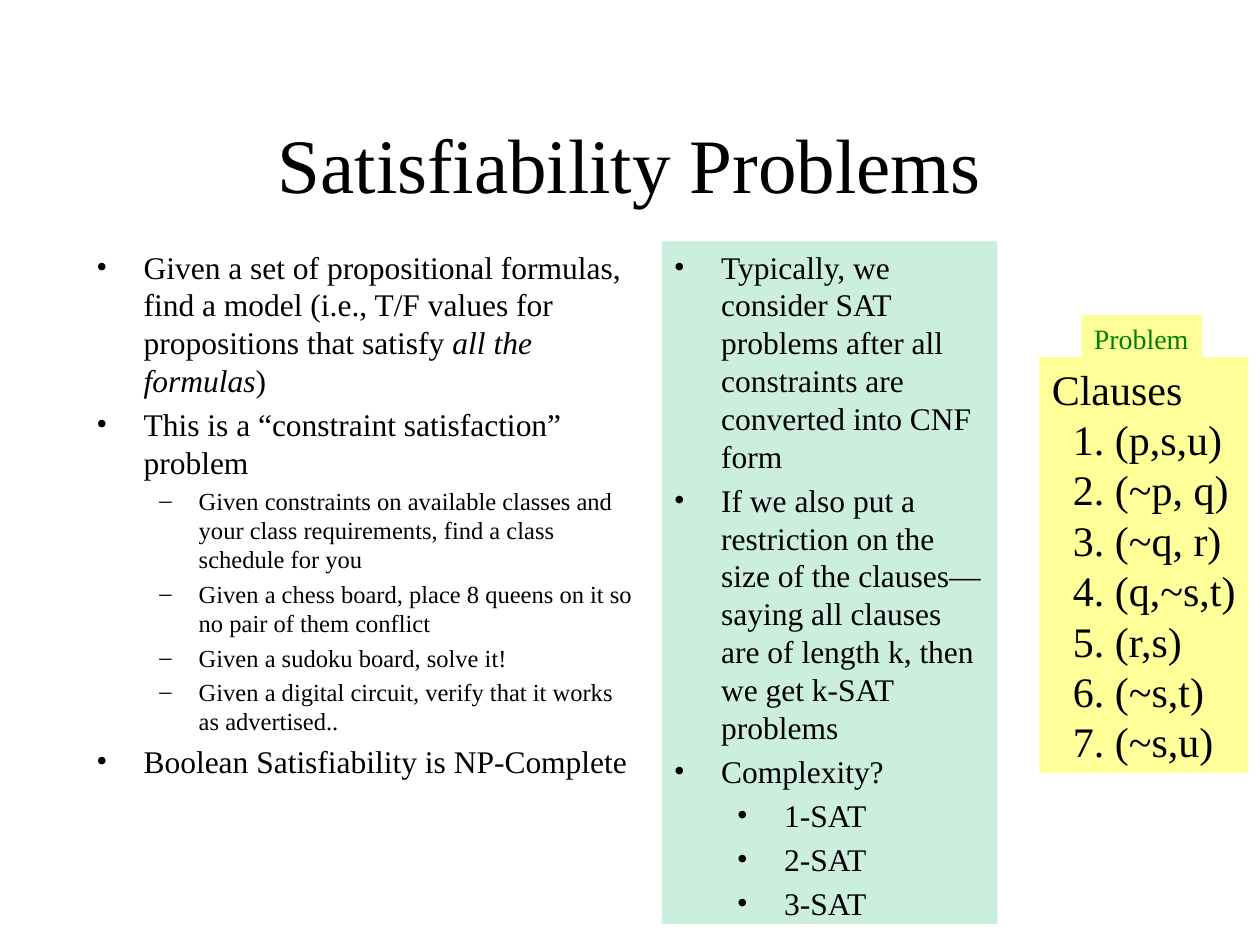
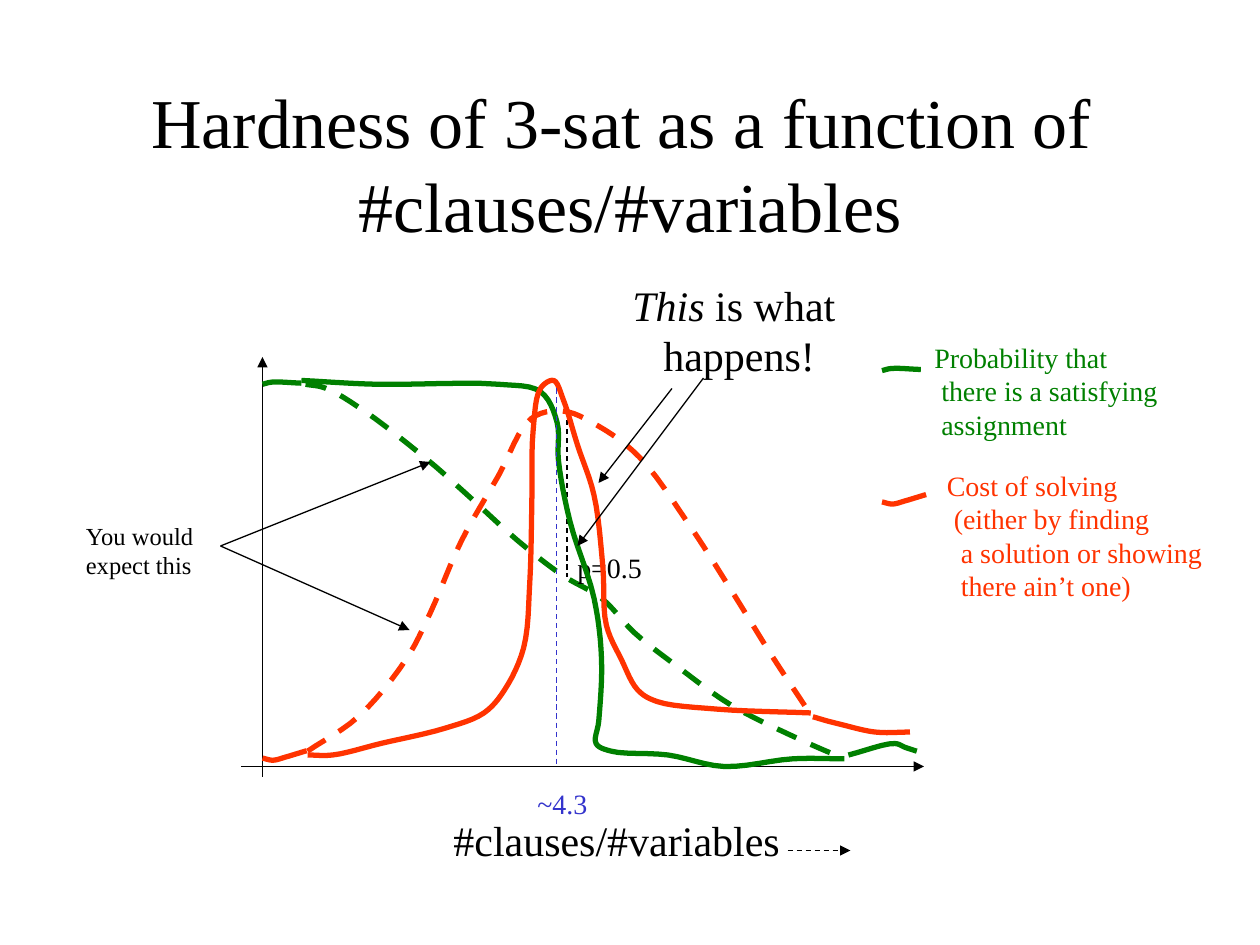
from dataclasses import dataclass
from math import dist

from lxml.etree import SubElement
from pptx import Presentation
from pptx.dml.color import RGBColor
from pptx.enum.dml import MSO_LINE
from pptx.enum.shapes import MSO_CONNECTOR, MSO_SHAPE
from pptx.enum.text import MSO_ANCHOR, MSO_AUTO_SIZE, PP_ALIGN
from pptx.oxml.ns import qn
from pptx.util import Inches, Pt

COLUMNS = 120  # the 10 x 7.5 inch slide is a grid of 120 x 90 square cells
BLACK, GREEN, RED, BLUE = "000000", "008000", "FF3300", "3333CC"
YELLOW, MINT = "FFFF99", "CCEEDF"


def rgb(value):
    return RGBColor.from_string(value)


@dataclass
class Para:
    """One paragraph; runs is a string or a list of (text, italic) pairs."""
    runs: object
    size: float
    bullet: str = ""
    level: int = 0
    left: float = 0
    hang: float = 0

    def pieces(self):
        return [(self.runs, False)] if isinstance(self.runs, str) else self.runs


def point(runs):
    return Para(runs, 18, "•", 0, 27, 27)


def dash_point(runs):
    return Para(runs, 14, "–", 1, 58.5, 22.5)


def sub_point(runs):
    return Para(runs, 18, "•", 1, 63, 27)


def lines(size, *texts, spaces=()):
    """Plain paragraphs, each indented by a number of space widths."""
    space = size / 4
    return [Para(text, size, left=n * space)
            for text, n in zip(texts, spaces or [0] * len(texts))]


def smooth(knots, steps=6):
    """Points of a centripetal Catmull-Rom spline through all the knots."""
    def mirror(end, inner):
        return tuple(2 * e - i for e, i in zip(end, inner))

    def mix(a, b, ta, tb, t):
        return tuple(((tb - t) * u + (t - ta) * v) / (tb - ta) for u, v in zip(a, b))

    pts = [mirror(knots[0], knots[1]), *knots, mirror(knots[-1], knots[-2])]
    result = [knots[0]]
    for a, b, c, d in zip(pts, pts[1:], pts[2:], pts[3:]):
        t0 = 0
        t1 = t0 + dist(a, b) ** 0.5
        t2 = t1 + dist(b, c) ** 0.5
        t3 = t2 + dist(c, d) ** 0.5
        for step in range(1, steps + 1):
            t = t1 + (t2 - t1) * step / steps
            ab, bc, cd = mix(a, b, t0, t1, t), mix(b, c, t1, t2, t), mix(c, d, t2, t3, t)
            abc, bcd = mix(ab, bc, t0, t2, t), mix(bc, cd, t1, t3, t)
            result.append(mix(abc, bcd, t1, t2, t))
    return result


class Deck:
    font = "Times New Roman"
    thin, thick = 0.75, 3

    def __init__(self):
        self.prs = Presentation()
        self.prs.slide_width, self.prs.slide_height = Inches(10), Inches(7.5)
        self.cell = self.prs.slide_width / COLUMNS
        self.s = None

    def grid(self, *cells):
        return [round(c * self.cell) for c in cells]

    def slide(self, title, size):
        self.s = self.prs.slides.add_slide(self.prs.slide_layouts[6])
        self.text((9, 8, 102, 15), [Para(title, size)], wrap=True,
                  align=PP_ALIGN.CENTER, anchor=MSO_ANCHOR.MIDDLE)

    def text(self, box, paras, color=BLACK, fill=None, wrap=False,
             align=PP_ALIGN.LEFT, anchor=MSO_ANCHOR.TOP):
        shapes = self.s.shapes
        if fill:
            sp = shapes.add_shape(MSO_SHAPE.RECTANGLE, *self.grid(*box))
            sp.shadow.inherit = False
            sp.fill.solid()
            sp.fill.fore_color.rgb = rgb(fill)
            sp.line.fill.background()
        else:
            sp = shapes.add_textbox(*self.grid(*box))
        tf = sp.text_frame
        tf.word_wrap = wrap
        tf.auto_size = MSO_AUTO_SIZE.NONE if wrap else MSO_AUTO_SIZE.SHAPE_TO_FIT_TEXT
        tf.vertical_anchor = anchor
        for i, para in enumerate(paras):
            p = tf.add_paragraph() if i else tf.paragraphs[0]
            p.alignment = align
            self.indent(p, para, first=i == 0)
            for text, italic in para.pieces():
                self.run(p, text, para.size, color, italic)

    def indent(self, p, para, first):
        p.level = para.level
        pPr = p._p.get_or_add_pPr()
        pPr.set("marL", str(Pt(para.left)))
        pPr.set("indent", str(-Pt(para.hang)))
        if para.bullet:
            SubElement(pPr, qn("a:buFont")).set("typeface", self.font)
            SubElement(pPr, qn("a:buChar")).set("char", para.bullet)
            if not first:
                p.space_before = Pt(para.size * 0.2)

    def run(self, p, text, size, color, italic):
        for i, part in enumerate(text.split("\n")):
            if i:
                p.add_line_break()
            r = p.add_run()
            r.text = part
            r.font.name, r.font.size, r.font.italic = self.font, Pt(size), italic
            r.font.color.rgb = rgb(color)

    def stroke(self, sp, color, width, dashed):
        sp.line.color.rgb = rgb(color)
        sp.line.width = Pt(width)
        if dashed:
            sp.line.dash_style = MSO_LINE.DASH

    def line(self, start, end, color=BLACK, dashed=False, arrow=True):
        sp = self.s.shapes.add_connector(MSO_CONNECTOR.STRAIGHT,
                                         *self.grid(*start, *end))
        self.stroke(sp, color, self.thin, dashed)
        if arrow:
            SubElement(sp.line._get_or_add_ln(), qn("a:tailEnd")).set("type", "triangle")
        SubElement(sp._element.spPr, qn("a:effectLst"))

    def curve(self, knots, color, dashed=False):
        """Smooth open line through knots given in grid cells."""
        first, *rest = [self.grid(*xy) for xy in smooth(knots)]
        fb = self.s.shapes.build_freeform(*first, scale=1.0)
        fb.add_line_segments(rest, close=False)
        sp = fb.convert_to_shape()
        sp.shadow.inherit = False
        sp.fill.background()
        self.stroke(sp, color, self.thick, dashed)


# The plot: x is the ratio #clauses/#variables, y is a level in percent.
ORIGIN_X, ORIGIN_Y = 25, 73
THRESHOLD, THRESHOLD_X = 4.3, 53
FULL_HEIGHT = 36.4


def plotted(knots):
    """Turn (ratio, percent) pairs into grid cells."""
    per_ratio = (THRESHOLD_X - ORIGIN_X) / THRESHOLD
    return [(ORIGIN_X + ratio * per_ratio, ORIGIN_Y - percent / 100 * FULL_HEIGHT)
            for ratio, percent in knots]


def moved(knots, x, y):
    return [(x + dx, y + dy) for dx, dy in knots]


# Each measure falls or rises gently as expected, but abruptly in fact.
EXPECTED_PROBABILITY = [
    (0.63, 100), (0.92, 99), (1.49, 93), (2.43, 80), (3, 71), (3.74, 59), (4.39, 50),
    (4.96, 44), (5.44, 35), (6.08, 26), (6.86, 16), (7.87, 7), (8.51, 2)]
EXPECTED_COST = [
    (0.66, 4), (1.4, 13), (2.1, 28), (2.45, 40), (2.91, 59), (3.45, 76), (3.93, 91),
    (4.39, 93), (4.92, 89), (5.51, 81), (6.25, 63), (6.93, 44), (7.45, 29), (8.04, 13)]
ACTUAL_PROBABILITY = [
    (0.57, 101), (1.66, 100), (3.45, 100), (4.07, 98), (4.31, 90), (4.33, 80),
    (4.5, 64), (4.85, 44), (4.96, 28), (4.92, 12), (4.88, 6), (5.1, 4), (5.93, 3),
    (6.75, 0), (7.76, 2), (8.51, 2)]
ACTUAL_COST = [
    (0.66, 3), (1.03, 3), (1.73, 6), (2.67, 10), (3.24, 14), (3.54, 20), (3.82, 31),
    (3.91, 48), (3.94, 68), (3.96, 88), (4.07, 99), (4.26, 101), (4.4, 96), (4.61, 84),
    (4.85, 71), (4.98, 52), (5.03, 37), (5.25, 28), (5.49, 20), (5.77, 17),
    (6.65, 15), (8.02, 14)]

# Where the expected and actual curves meet again they share one tail.
PROBABILITY_TAIL = [(8.57, 3), (9.25, 6), (9.4, 5), (9.57, 4)]
COST_TAIL = [(8.05, 13), (8.24, 12), (8.46, 11), (8.96, 9), (9.47, 9)]

# Short strokes, in cells, that start a curve and also mark it in the legend.
PROBABILITY_STROKE = [(0, 0), (0.9, -0.2), (3.7, -0.1)]
COST_STROKE = [(0, 0), (1, 0.2), (2.2, -0.1), (4.2, -0.7)]
LEGEND_X = 84


def satisfiability(d):
    d.slide("Satisfiability Problems", 44)
    d.text((8, 23, 54, 54), [
        point([("Given a set of propositional formulas, find a model (i.e., T/F "
                "values for propositions that satisfy ", False),
               ("all the formulas", True), (")", False)]),
        point("This is a “constraint satisfaction” problem"),
        dash_point("Given constraints on available classes and your class "
                   "requirements, find a class schedule for you"),
        dash_point("Given a chess board, place 8 queens on it so no pair of them conflict"),
        dash_point("Given a sudoku board, solve it!"),
        dash_point("Given a digital circuit, verify that it works as advertised.."),
        point("Boolean Satisfiability is NP-Complete")], wrap=True)
    clauses = ["(p,s,u)", "(~p, q)", "(~q, r)", "(q,~s,t)", "(r,s)", "(~s,t)", "(~s,u)"]
    numbered = [f"{n}. {clause}" for n, clause in enumerate(clauses, 1)]
    d.text((99, 34, 19.9, 39.6),
           lines(24, "Clauses", *numbered, spaces=[0] + [2] * len(numbered)),
           fill=YELLOW)
    d.text((63, 23, 32, 65), [
        point("Typically, we consider SAT problems after all constraints are "
              "converted into CNF form"),
        point("If we also put a restriction on the size of the clauses—saying all "
              "clauses are of length k, then we get k-SAT problems"),
        point("Complexity?"),
        *[sub_point(f"{k}-SAT") for k in (1, 2, 3)]], fill=MINT, wrap=True)
    d.text((103, 30, 11.5, 4.4), lines(16, "Problem"), GREEN, fill=YELLOW)


def axes(d):
    d.line((ORIGIN_X, ORIGIN_Y + 1), (ORIGIN_X, 34))
    d.line((ORIGIN_X - 2, ORIGIN_Y), (88, ORIGIN_Y))
    d.text((42, 77, 33.5, 6), lines(24, "#clauses/#variables"))
    d.line((75, 81), (81, 81), dashed=True)


def legend(d):
    d.curve(moved(PROBABILITY_STROKE, LEGEND_X, 35.3), GREEN)
    d.text((87.8, 31.8, 23.9, 10.8),
           lines(16, "Probability that", "there is a satisfying", "assignment",
                 spaces=[0, 1, 1]), GREEN)
    d.curve(moved(COST_STROKE, LEGEND_X, 47.8), RED)
    d.text((89, 44, 26.9, 14),
           lines(16, "Cost of solving", "(either by finding", "a solution or showing",
                 "there ain’t one)", spaces=[0, 1, 2, 2]), RED)


def curves(d):
    d.curve(moved(PROBABILITY_STROKE, ORIGIN_X, 36.6), GREEN)
    d.curve(moved(COST_STROKE, ORIGIN_X, 72.2), RED)
    for tail, color in ((PROBABILITY_TAIL, GREEN), (COST_TAIL, RED)):
        d.curve(plotted(tail), color)
    d.curve(plotted(EXPECTED_COST), RED, dashed=True)
    d.curve(plotted(EXPECTED_PROBABILITY), GREEN, dashed=True)
    d.line((54, 40), (54, 55), dashed=True, arrow=False)
    d.text((53.8, 51.8, 8.6, 4.4), lines(16, "p=0.5"))
    d.curve(plotted(ACTUAL_PROBABILITY), GREEN)
    d.curve(plotted(ACTUAL_COST), RED)


def callouts(d):
    d.text((7, 49, 13.4, 6.8), lines(14, "You would", "expect this"))
    for target in ((41, 44), (39, 60)):
        d.line((21, 52), target)
    d.text((59, 26, 22.8, 10.8),
           [Para([("This", True), (" is what ", False)], 24), Para("happens!", 24)],
           align=PP_ALIGN.CENTER)
    for start, target in (((64, 37), (57, 46)), ((67, 36), (55, 52))):
        d.line(start, target)
    d.text((50, 74.3, 7.2, 4.4), lines(16, f"~{THRESHOLD}"), BLUE)
    d.line((THRESHOLD_X, 37), (THRESHOLD_X, ORIGIN_Y), BLUE, dashed=True, arrow=False)


def hardness(d):
    d.slide("Hardness of 3-sat as a function of \n#clauses/#variables", 40)
    for draw in (axes, legend, curves, callouts):
        draw(d)


def main():
    d = Deck()
    satisfiability(d)
    hardness(d)
    d.prs.save("out.pptx")


if __name__ == "__main__":
    main()
